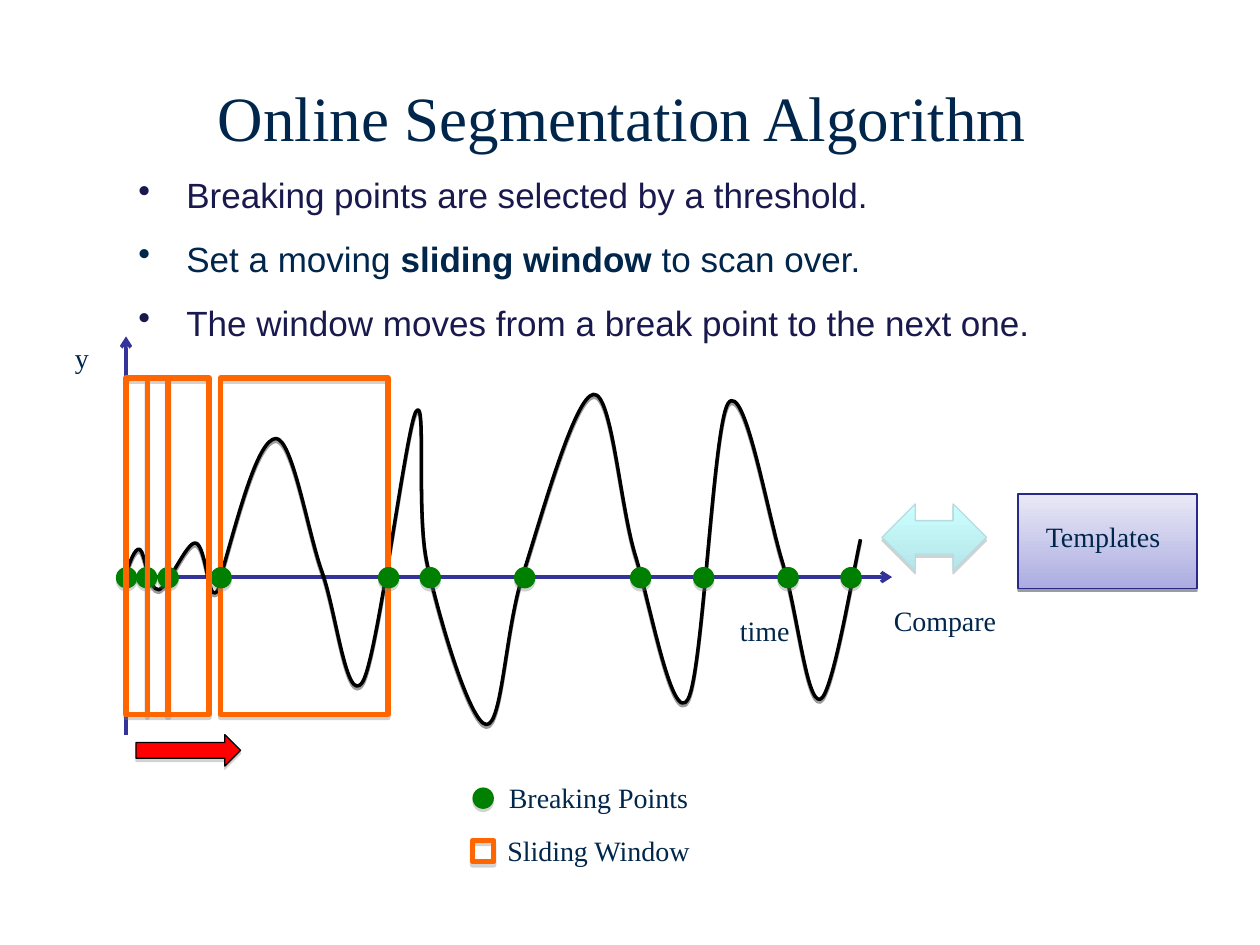
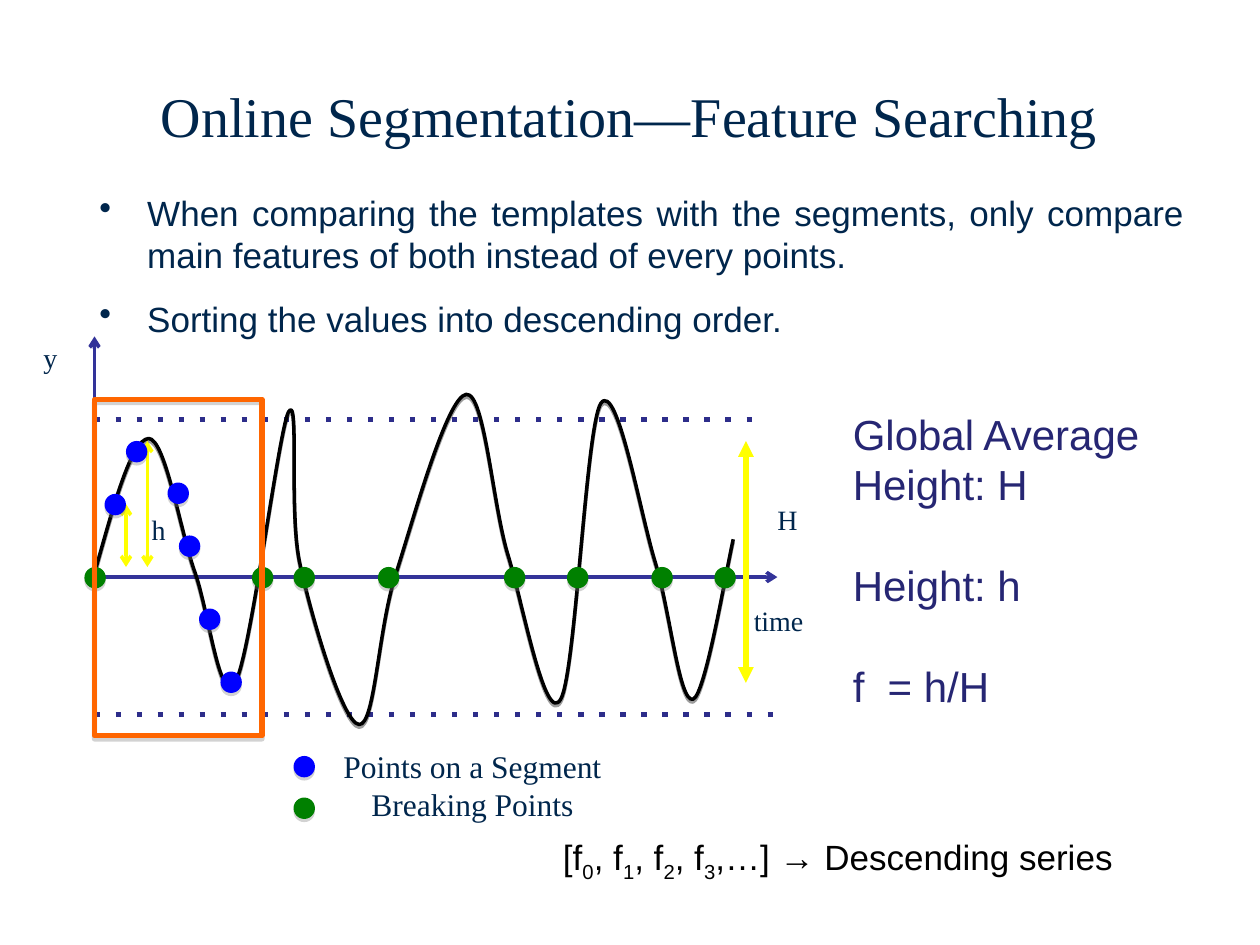
from dataclasses import dataclass
from typing import NamedTuple

from pptx import Presentation
from pptx import util as u
from pptx.dml.color import RGBColor
from pptx.enum import shapes, text
from pptx.oxml.ns import qn
from lxml import etree

In = u.Inches
KIND = shapes.MSO_SHAPE
ALIGN = text.PP_ALIGN
ANCHOR = text.MSO_ANCHOR


@dataclass(frozen=True)
class Theme:
    serif: str = "Times New Roman"
    sans: str = "Arial"
    ink: str = "00264C"
    deep: str = "19194D"
    note: str = "262673"
    axis: str = "333399"
    dots: str = "2D2D8A"
    black: str = "000000"
    white: str = "FFFFFF"
    orange: str = "FF6600"
    green: str = "008000"
    blue: str = "0000FF"
    red: str = "FF0000"
    yellow: str = "FFFF00"
    shade: str = "808080"
    label: int = 16
    key: int = 18
    body: int = 20
    large: int = 24


T = Theme()


class Box(NamedTuple):
    x: float
    y: float
    w: float
    h: float

    def emu(self) -> list:
        return [In(v) for v in self]


class Run(NamedTuple):
    words: str
    color: str = T.ink
    bold: bool = False
    sub: bool = False


class Style(NamedTuple):
    size: float
    face: str = T.serif
    align: int = ALIGN.CENTER
    space: float = 0
    bullet: bool = False


class Shade(NamedTuple):
    color: str = T.shade
    alpha: int = 35
    dist: float = 1.8


LABEL = Style(T.label)
LIST = Style(T.body, T.sans, ALIGN.JUSTIFY, 12.5, True)
SOFT = Shade()
DARK = Shade(T.black, 38, 1.6)

DOT = 0.17
AXIS_Y = 4.58
DOT_Y = 4.5
# Bezier points: a start, then three points for each curve
WAVE = [
    (1.76, 4.55), (1.91, 4.02), (2.05, 3.49), (2.19, 3.48), (2.32, 3.48),
    (2.44, 4.2), (2.55, 4.52), (2.67, 4.84), (2.75, 5.62), (2.88, 5.41),
    (3, 5.2), (3.22, 3.43), (3.3, 3.27), (3.39, 3.11), (3.3, 4.06),
    (3.39, 4.47), (3.48, 4.89), (3.73, 5.74), (3.86, 5.75), (3.99, 5.76),
    (4.01, 4.97), (4.16, 4.53), (4.3, 4.09), (4.56, 3.15), (4.71, 3.13),
    (4.86, 3.11), (4.92, 4.03), (5.05, 4.43), (5.17, 4.84), (5.34, 5.76),
    (5.46, 5.55), (5.58, 5.35), (5.66, 3.38), (5.78, 3.2), (5.91, 3.02),
    (6.09, 4.07), (6.21, 4.46), (6.33, 4.85), (6.4, 5.58), (6.51, 5.55),
    (6.61, 5.52), (6.78, 4.49), (6.83, 4.28)]
RIPPLE = [
    (1.77, 4.53), (1.75, 4.63), (1.73, 4.73), (1.69, 4.7), (1.65, 4.66),
    (1.62, 4.31), (1.55, 4.31), (1.48, 4.3), (1.33, 4.67), (1.26, 4.68),
    (1.18, 4.69), (1.15, 4.38), (1.11, 4.36), (1.07, 4.34), (1.02, 4.49),
    (1, 4.56)]


def apply(obj, values: dict) -> None:
    for name, value in values.items():
        setattr(obj, name, value)


def add(parent, tag: str, **attrs):
    node = etree.SubElement(parent, qn(tag))
    for name, value in attrs.items():
        node.set(name, str(value))
    return node


# Text
def write(frame, paras: list, style: Style, wrap: bool = False,
          anchor=ANCHOR.MIDDLE, foot: float = 0.05) -> None:
    apply(frame, dict(
        word_wrap=wrap, vertical_anchor=anchor, auto_size=text.MSO_AUTO_SIZE.NONE,
        margin_left=In(0.1), margin_right=In(0.1),
        margin_top=In(0.05), margin_bottom=In(foot)))
    for i, runs in enumerate(paras):
        para = frame.paragraphs[0] if i == 0 else frame.add_paragraph()
        para.alignment = style.align
        if i and style.space:
            para.space_before = u.Pt(style.space)
        if style.bullet:
            para.level = 1
            props = para._p.get_or_add_pPr()
            props.set("marL", str(In(0.88)))
            props.set("indent", str(In(-0.38)))
            add(add(props, "a:buClr"), "a:srgbClr", val=runs[0].color)
            add(props, "a:buChar", char="•")
        for run in runs:
            part = para.add_run()
            part.text = run.words
            apply(part.font, dict(size=u.Pt(style.size), name=style.face, bold=run.bold))
            part.font.color.rgb = RGBColor.from_string(run.color)
            if run.sub:
                part._r.get_or_add_rPr().set("baseline", "-25000")


def put(slide, box: Box, paras: list, style: Style = LABEL, **more) -> None:
    write(slide.shapes.add_textbox(*box.emu()).text_frame, paras, style, **more)


def tag(slide, box: Box, words: str) -> None:
    shape = draw(slide, KIND.RECTANGLE, box, T.white)
    write(shape.text_frame, [[Run(words)]], LABEL)


def start(deck, title: str, box: Box, size: int):
    slide = deck.slides.add_slide(deck.slide_layouts[5])
    head = slide.shapes.title
    apply(head, dict(zip(("left", "top", "width", "height"), box.emu())))
    write(head.text_frame, [[Run(title)]], Style(size), wrap=True)
    return slide


# Shapes
def finish(shape, fill=None, line=None, width: float = 0.75, shade=None):
    if isinstance(fill, tuple):
        shape.fill.gradient()
        shape.fill.gradient_angle = 270
        for stop, color in zip(shape.fill.gradient_stops, fill):
            stop.color.rgb = RGBColor.from_string(color)
    elif fill:
        shape.fill.solid()
        shape.fill.fore_color.rgb = RGBColor.from_string(fill)
    else:
        shape.fill.background()
    if line:
        shape.line.color.rgb = RGBColor.from_string(line)
        shape.line.width = u.Pt(width)
    else:
        shape.line.fill.background()
    shape.shadow.inherit = False
    if shade:
        effects = shape._element.spPr.find(qn("a:effectLst"))
        cast = add(effects, "a:outerShdw", blurRad=0, dist=int(u.Pt(shade.dist)),
                   dir=5400000, rotWithShape=0)
        color = add(cast, "a:srgbClr", val=shade.color)
        add(color, "a:alpha", val=shade.alpha * 1000)
    return shape


def draw(slide, kind, box: Box, fill=None, line=None, width: float = 0.75, shade=None):
    return finish(slide.shapes.add_shape(kind, *box.emu()), fill, line, width, shade)


def spot(slide, x: float, y: float = DOT_Y, color: str = T.green) -> None:
    draw(slide, KIND.OVAL, Box(x, y, DOT, DOT), color, shade=SOFT)


def frame(slide, box: Box) -> None:
    draw(slide, KIND.RECTANGLE, box, None, T.orange, 3, SOFT)


def curve(slide, points: list, shift: float = 0) -> None:
    track = [(In(x + shift), In(y)) for x, y in points]
    pen = slide.shapes.build_freeform(*track[0])
    pen.add_line_segments(track[3::3], close=False)
    shape = finish(pen.convert_to_shape(), None, T.black, 2, DARK)
    # Bend each straight segment with its two control points
    for i, node in enumerate(list(shape._element.iter(qn("a:lnTo")))):
        bend = etree.Element(qn("a:cubicBezTo"))
        for x, y in track[3 * i + 1:3 * i + 4]:
            add(bend, "a:pt", x=int(x - shape.left), y=int(y - shape.top))
        node.getparent().replace(node, bend)


def link(slide, x1: float, y1: float, x2: float, y2: float, color: str = T.axis,
         width: float = 2, dash: str = "", head: str = "", tail: str = "") -> None:
    line = slide.shapes.add_connector(
        shapes.MSO_CONNECTOR.STRAIGHT, *(In(v) for v in (x1, y1, x2, y2)))
    line.line.color.rgb = RGBColor.from_string(color)
    line.line.width = u.Pt(width)
    stroke = line.line._get_or_add_ln()
    if dash:
        add(stroke, "a:prstDash", val=dash)
    for name, end in (("a:headEnd", head), ("a:tailEnd", tail)):
        if end:
            add(stroke, name, type=end)
    add(line._element.spPr, "a:effectLst")


def plot(slide, left: float, right: float, shift: float) -> None:
    link(slide, left, AXIS_Y, right, AXIS_Y, tail="arrow")
    link(slide, left, 5.83, left, 2.67, tail="arrow")
    curve(slide, WAVE, shift)
    tag(slide, Box(left - 0.5, 2.67, 0.3, 0.33), "y")


def windows(deck) -> None:
    slide = start(deck, "Online Segmentation Algorithm ", Box(0.5, 0.3, 9, 1.25), 36)
    plot(slide, 1, 7.08, 0)
    tag(slide, Box(5.92, 4.75, 0.3, 0.5), "time")
    curve(slide, RIPPLE)
    # Windows and breaking points
    frame(slide, Box(1.75, 3, 1.33, 2.67))
    for x in (0.92, 1.08, 1.25, 1.67, 3, 3.33, 4.08, 5, 5.5, 6.17, 6.67):
        spot(slide, x)
    for x, wide in ((1, 0.17), (1.17, 0.17), (1.33, 0.33)):
        frame(slide, Box(x, 3, wide, 2.67))
    # Arrows and templates
    draw(slide, KIND.RIGHT_ARROW, Box(1.08, 5.83, 0.83, 0.25), T.red, T.black, shade=SOFT)
    draw(slide, KIND.LEFT_RIGHT_ARROW, Box(7, 4, 0.83, 0.53),
         ("CBFFFF", "B5E5E9"), "B6DCDF", shade=SOFT)
    draw(slide, KIND.RECTANGLE, Box(8.08, 3.92, 1.42, 0.75),
         ("E9E9F7", "ACACE1"), "292989", shade=DARK)
    put(slide, Box(7.92, 3.67, 1.67, 1.17), [[Run("Templates")]])
    put(slide, Box(6.25, 4.67, 2.5, 0.5), [[Run("Compare")]])
    # Legend
    spot(slide, 3.75, 6.25)
    frame(slide, Box(3.75, 6.67, DOT, DOT))
    for y, words in ((6.08, "Breaking Points"), (6.5, "Sliding Window")):
        put(slide, Box(3.5, y, 2.5, 0.5), [[Run(words)]])
    put(slide, Box(0.5, 1.33, 9.08, 1.96), [
        [Run("Breaking points are selected by a threshold. ", T.deep)],
        [Run("Set a moving "), Run("sliding window", bold=True), Run(" to scan over.")],
        [Run("The window moves from a break point to the next one.", T.deep)],
    ], LIST, wrap=True, anchor=ANCHOR.TOP)


def features(deck) -> None:
    slide = start(deck, "Online Segmentation—Feature Searching",
                  Box(0.58, 0.5, 8.83, 0.83), 32)
    put(slide, Box(0.19, 1.47, 9.31, 1.78), [
        [Run("When comparing the templates with the segments, only compare "
             "main features of both instead of every points.")],
        [Run("Sorting the values into descending order. ")],
    ], LIST, wrap=True, anchor=ANCHOR.TOP)
    put(slide, Box(6.67, 3.19, 3.17, 2.5),
        [[Run(words, T.note)] for words in ("Global Average Height: H", "Height: h", "f  = h/H")],
        Style(T.large, T.sans, ALIGN.LEFT, 28.8), wrap=True, anchor=ANCHOR.TOP)
    # Average levels and signal
    for y, right in ((3.33, 6.08), (5.67, 6.17)):
        link(slide, 0.75, y, right, y, T.dots, 3, dash="dot")
    plot(slide, 0.75, 6.17, -1.01)
    # Heights
    for x, top, low, width, end in ((1, 4, 4.5, 2, "arrow"), (1.17, 3.5, 4.5, 2, "arrow"),
                                    (5.92, 3.5, 5.42, 3, "triangle")):
        link(slide, x, top, x, low, T.yellow, width, head=end, tail=end)
    tag(slide, Box(6.03, 4.67, 0.3, 0.5), "time")
    tag(slide, Box(6, 3.83, 0.5, 0.58), "H")
    put(slide, Box(1.11, 4.08, 0.3, 0.5), [[Run("h")]], foot=0.3)
    # Points and window
    for x in (0.67, 2, 2.33, 3, 4, 4.5, 5.17, 5.67):
        spot(slide, x)
    frame(slide, Box(0.75, 3.17, 1.33, 2.67))
    for x, y in ((0.83, 3.92), (1, 3.5), (1.33, 3.83), (1.42, 4.25), (1.58, 4.83), (1.75, 5.33)):
        spot(slide, x, y, T.blue)
    # Legend and series
    spot(slide, 2.33, 6, T.blue)
    spot(slide, 2.33, 6.33)
    put(slide, Box(2.5, 6, 2.5, 0.75), [[Run("Points on a Segment")], [Run("Breaking Points")]],
        Style(T.key), foot=0.34)
    series = [Run("[f", T.black)]
    for i in range(4):
        after = ", f" if i < 3 else ",…] → Descending series"
        series += [Run(str(i), T.black, sub=True), Run(after, T.black)]
    put(slide, Box(4.37, 6.58, 5.67, 0.48), [series],
        Style(T.body, T.sans, ALIGN.LEFT), wrap=True, anchor=ANCHOR.TOP)


def main() -> None:
    deck = Presentation()
    apply(deck, dict(slide_width=In(10), slide_height=In(7.5)))
    windows(deck)
    features(deck)
    deck.save("out.pptx")


if __name__ == "__main__":
    main()
